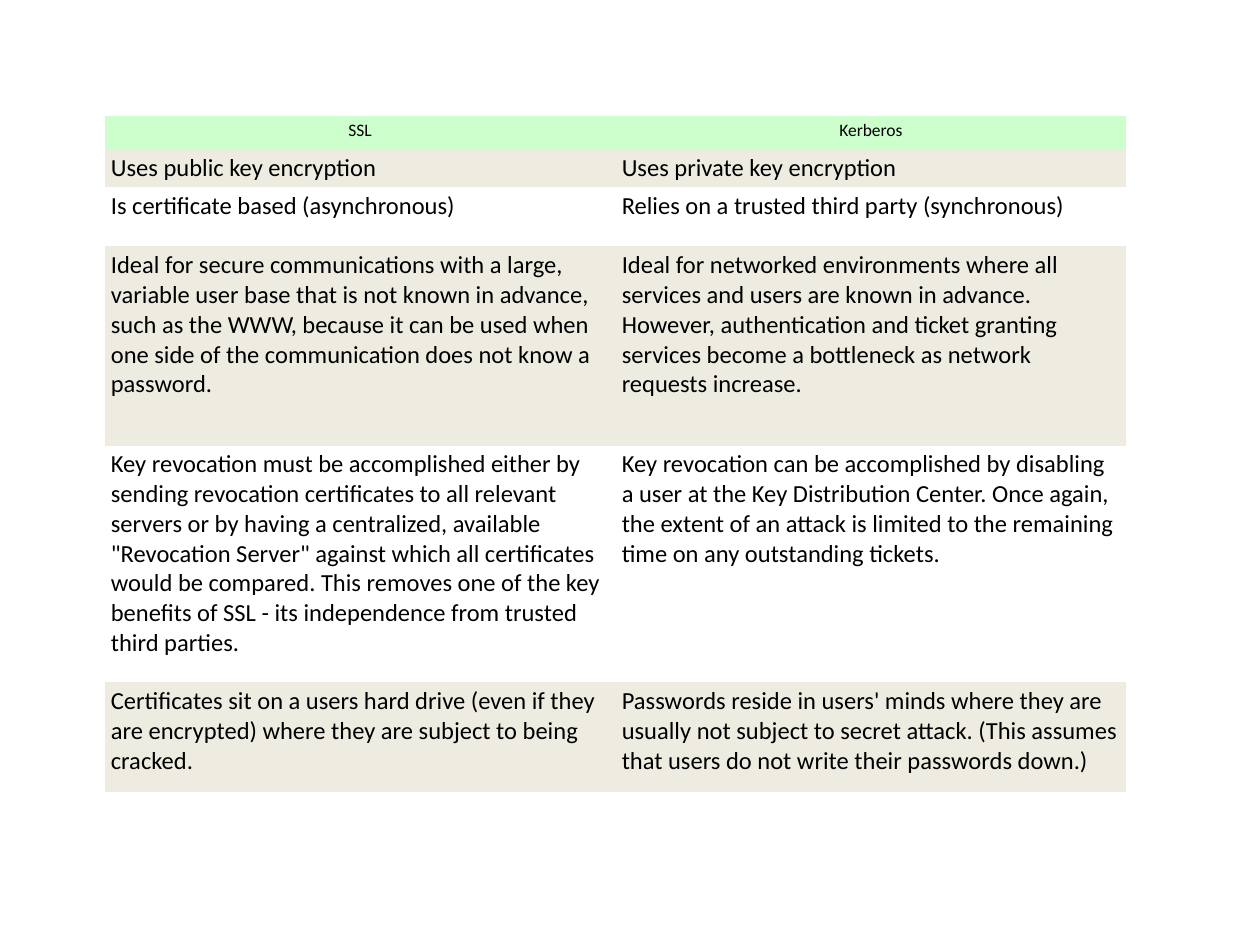
from pptx import Presentation
from pptx.dml.color import RGBColor
from pptx.enum.text import MSO_ANCHOR, PP_ALIGN
from pptx.util import Inches, Pt

CENTER, LEFT = PP_ALIGN.CENTER, PP_ALIGN.LEFT
TOP = MSO_ANCHOR.TOP
BLANK_LAYOUT = 6
PLAIN_TABLE_STYLE = "{2D5ABB26-0587-4C30-8999-92F81FD0307C}"

COLORS = {"text": "000000", "header": "CCFFCC", "band": "EEECE1"}

PROTOCOLS = ("SSL", "Kerberos")
COMPARISONS = [
    ("Uses public key encryption", "Uses private key encryption"),
    ("Is certificate based (asynchronous)",
     "Relies on a trusted third party (synchronous)"),
    ("Ideal for secure communications with a large, variable user base that is "
     "not known in advance, such as the WWW, because it can be used when one side "
     "of the communication does not know a password.",
     "Ideal for networked environments where all services and users are known in "
     "advance. However, authentication and ticket granting services become a "
     "bottleneck as network requests increase."),
    ("Key revocation must be accomplished either by sending revocation "
     "certificates to all relevant servers or by having a centralized, available "
     '"Revocation Server" against which all certificates would be compared. This '
     "removes one of the key benefits of SSL - its independence from trusted third "
     "parties.",
     "Key revocation can be accomplished by disabling a user at the Key "
     "Distribution Center. Once again, the extent of an attack is limited to the "
     "remaining time on any outstanding tickets."),
    ("Certificates sit on a users hard drive (even if they are encrypted) where "
     "they are subject to being cracked.",
     "Passwords reside in users' minds where they are usually not subject to "
     "secret attack. (This assumes that users do not write their passwords down.)"),
]
ROW_HEIGHTS = [0.27, 0.29, 0.47, 1.58, 1.88, 0.87]


class ComparisonSlide:
    cell_format = {
        "margin_left": Inches(0.05), "margin_right": Inches(0.05),
        "margin_top": Inches(0.03), "margin_bottom": Inches(0.03),
        "vertical_anchor": TOP,
    }
    font_format = {"name": "Calibri", "bold": False}
    table_flags = {"first_row": False, "horz_banding": False}

    def __init__(self, deck):
        self.slide = deck.slides.add_slide(deck.slide_layouts[BLANK_LAYOUT])
        self.width, self.height = deck.slide_width, deck.slide_height

    @staticmethod
    def apply(target, values):
        for attribute, value in values.items():
            setattr(target, attribute, value)

    def cell(self, cell, wording, size, align, fill):
        self.apply(cell, self.cell_format)
        if fill:
            cell.fill.solid()
            cell.fill.fore_color.rgb = RGBColor.from_string(COLORS[fill])
        else:
            cell.fill.background()
        paragraph = cell.text_frame.paragraphs[0]
        paragraph.alignment = align
        run = paragraph.add_run()
        run.text = wording
        self.apply(run.font, {**self.font_format, "size": Pt(size)})
        run.font.color.rgb = RGBColor.from_string(COLORS["text"])

    def table(self, left, top, width, header, body, heights):
        frame = self.slide.shapes.add_table(
            len(heights), len(header), int(left * self.width),
            int(top * self.height), int(width * self.width), Inches(sum(heights)))
        table = frame.table
        self.apply(table, self.table_flags)
        frame._element.graphic.graphicData.tbl.tblPr.find(
            "{*}tableStyleId").text = PLAIN_TABLE_STYLE
        for row, height in zip(table.rows, heights):
            row.height = Inches(height)
        for column, protocol in enumerate(header):
            self.cell(table.cell(0, column), protocol, 10, CENTER, "header")
        for number, statements in enumerate(body, 1):
            fill = "band" if number % 2 else None
            for column, statement in enumerate(statements):
                self.cell(table.cell(number, column), statement, 14, LEFT, fill)


def main():
    deck = Presentation()
    deck.slide_width, deck.slide_height = Inches(10), Inches(7.5)
    page = ComparisonSlide(deck)
    page.table(0.083, 0.1227, 0.811, PROTOCOLS, COMPARISONS, ROW_HEIGHTS)
    deck.save("out.pptx")


if __name__ == "__main__":
    main()
